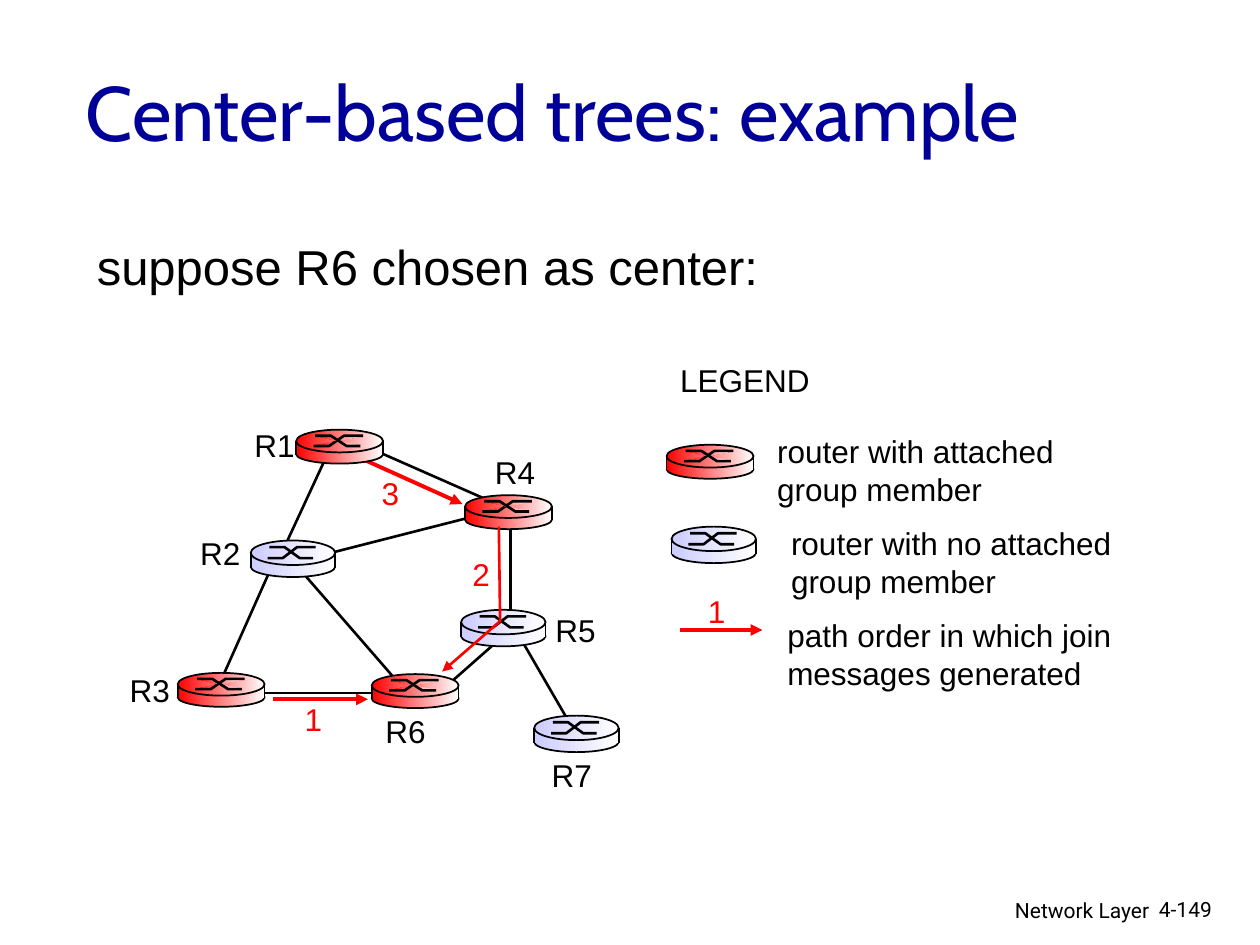
import pptx
import pptx.util
import pptx.dml.color
import pptx.enum.shapes
import pptx.enum.text
import pptx.oxml
import pptx.oxml.ns

COLORS = {"ink": "000000", "title": "000099", "join": "FF0000",
          "member": "FF0000", "plain": "CCCCFF", "fade": "FFFFFF"}
RGB = {name: pptx.dml.color.RGBColor.from_string(code)
       for name, code in COLORS.items()}
ALIGN = pptx.enum.text.PP_ALIGN
SHAPE = pptx.enum.shapes.MSO_SHAPE
STRAIGHT = pptx.enum.shapes.MSO_CONNECTOR.STRAIGHT

deck = pptx.Presentation()
deck.slide_width = pptx.util.Inches(10)
deck.slide_height = pptx.util.Inches(7.5)
slide = deck.slides.add_slide(deck.slide_layouts[5])
shapes = slide.shapes

# The grid has 100 columns and 75 rows of square cells.
cell = deck.slide_width // 100


def write(words, left, top, width, height, size=18, color="ink",
          font="Arial", align=ALIGN.LEFT, wrap=False):
    """Add a text box, placed in grid cells."""
    box = shapes.add_textbox(*[int(v * cell) for v in (left, top, width, height)])
    frame = box.text_frame
    frame.word_wrap = wrap
    frame.text = words
    for para in frame.paragraphs:
        para.alignment = align
        para.font.size = pptx.util.Pt(size)
        para.font.name = font
        para.font.color.rgb = RGB[color]


def outline(shape, color, width, arrow=False):
    """Set the line of a shape or connector, and drop its shadow."""
    shape.line.color.rgb = RGB[color]
    shape.line.width = pptx.util.Pt(width)
    props = shape._element.spPr
    if arrow:
        tip = pptx.oxml.parse_xml(
            f'<a:tailEnd {pptx.oxml.ns.nsdecls("a")} type="triangle"/>')
        props.find(pptx.oxml.ns.qn("a:ln")).append(tip)
    props.append(pptx.oxml.parse_xml(
        f'<a:effectLst {pptx.oxml.ns.nsdecls("a")}/>'))


# Title, lead and footer
title = shapes.title
title.left, title.top, title.width, title.height = [
    int(v * cell) for v in (5.8, 2.5, 85, 12.5)]
title.text_frame.text = "Center-based trees: example"
title.text_frame.vertical_anchor = pptx.enum.text.MSO_ANCHOR.MIDDLE
head = title.text_frame.paragraphs[0]
head.alignment = ALIGN.LEFT
head.font.size = pptx.util.Pt(44)
head.font.name = "Cabin"
head.font.color.rgb = RGB["title"]

write("suppose R6 chosen as center:", 6.7, 18.3, 87.5, 50.8, size=28, wrap=True)
write("Network Layer", 60.5, 70.7, 31.7, 3.1, size=12, font="Roboto",
      align=ALIGN.RIGHT, wrap=True)
write("4-149", 91, 70.7, 7.4, 3, size=12, font="Roboto", wrap=True)

# Legend wording
write("LEGEND", 53, 28.2, 12.3, 4)
write("router with attached\ngroup member", 60.7, 33.8, 24, 7)
write("router with no attached\ngroup member", 61.8, 41.1, 27.4, 7)
write("path order in which join messages generated",
      61.5, 48.4, 33.1, 7, wrap=True)

# Join order numbers
for digit, left, top in [("1", 55.2, 46.5), ("1", 23.2, 55.1),
                         ("2", 36.5, 43.6), ("3", 29.3, 37.1)]:
    write(digit, left, top, 3.4, 4, color="join")

# Join arrows, then links between routers
joins = [(54, 50, 60.5, 50), (21.7, 55.5, 29.2, 55.5), (28.7, 36.4, 36.7, 40)]
links = [(40.7, 49.6, 45.1, 57.2), (25.4, 44.1, 40.3, 40.3),
         (22.5, 43.7, 31.8, 54.4), (29.2, 35.5, 40.1, 40.3),
         (34.7, 55.1, 40.6, 49.9), (40.5, 41.4, 40.5, 49.3),
         (19, 55, 30.2, 55), (21.6, 44.9, 17.5, 54.1), (26.2, 35.6, 22.4, 43.8)]
for ends, color, width, arrow in ([(e, "join", 2.25, True) for e in joins]
                                  + [(e, "ink", 1.5, False) for e in links]):
    wire = shapes.add_connector(STRAIGHT, *[int(v * cell) for v in ends])
    outline(wire, color, width, arrow)

# Routers: kind, corner, then name and its corner (none in the legend)
routers = [("member", 23.5, 34.1, "R1", 19.2, 33.3),
           ("member", 36.9, 39.3, "R4", 38.3, 35.5),
           ("member", 29.5, 53.5, "R6", 29.6, 56),
           ("member", 14.1, 53.4, "R3", 9.3, 52.8),
           ("plain", 19.9, 42.9, "R2", 14.9, 41.9),
           ("plain", 36.6, 48.4, "R5", 43.1, 48),
           ("plain", 42.4, 56.8, "R7", 42.8, 59.5),
           ("member", 52.9, 35.3, None, 0, 0),
           ("plain", 53.3, 41.8, None, 0, 0)]
sizes = {"member": (6.9, 2.7), "plain": (6.7, 2.9)}

# Parts of a router, as shares of its width and height
solids = [(SHAPE.OVAL, 0.44, 0.56), (SHAPE.RECTANGLE, 0.39, 0.35),
          (SHAPE.OVAL, 0, 0.67)]
strands = [[(0.2, 0.48), (0.38, 0.48), (0.55, 0.18), (0.77, 0.18)],
           [(0.22, 0.18), (0.4, 0.18), (0.58, 0.48), (0.74, 0.48)]]

for kind, left, top, name, name_left, name_top in routers:
    if name:
        write(name, name_left, name_top, 5.2, 4)
    width, height = sizes[kind]
    parts = shapes.add_group_shape().shapes
    drawn = []
    for form, start, tall in solids:
        solid = parts.add_shape(form, *[int(v * cell) for v in (
            left, top + start * height, width, tall * height)])
        drawn.append(solid)
        if form == SHAPE.RECTANGLE:
            solid.shadow.inherit = False
            solid.line.fill.background()
        else:
            outline(solid, "ink", 1)
    for strand in strands:
        points = [(int((left + x * width) * cell), int((top + y * height) * cell))
                  for x, y in strand]
        pen = parts.build_freeform(*points[0])
        pen.add_line_segments(points[1:], close=False)
        curve = pen.convert_to_shape()
        outline(curve, "ink", 1.5)
        if kind == "member":
            drawn.append(curve)
        else:
            curve.fill.background()
    for part in drawn:
        part.fill.gradient()
        part.fill.gradient_angle = 0
        for stop, shade in zip(part.fill.gradient_stops, (kind, "fade")):
            stop.color.rgb = RGB[shade]
    for side in (left, left + width):
        edge = parts.add_connector(STRAIGHT, *[int(v * cell) for v in (
            side, top + 0.33 * height, side, top + 0.74 * height)])
        outline(edge, "ink", 1)

# Second join step, from R4 by way of R5 to R6
points = [(int(x * cell), int(y * cell))
          for x, y in [(39.6, 41.8), (39.7, 49.3), (35.1, 53.3)]]
pen = shapes.build_freeform(*points[0])
pen.add_line_segments(points[1:], close=False)
route = pen.convert_to_shape()
route.fill.background()
outline(route, "join", 1.5, arrow=True)

deck.save("out.pptx")
